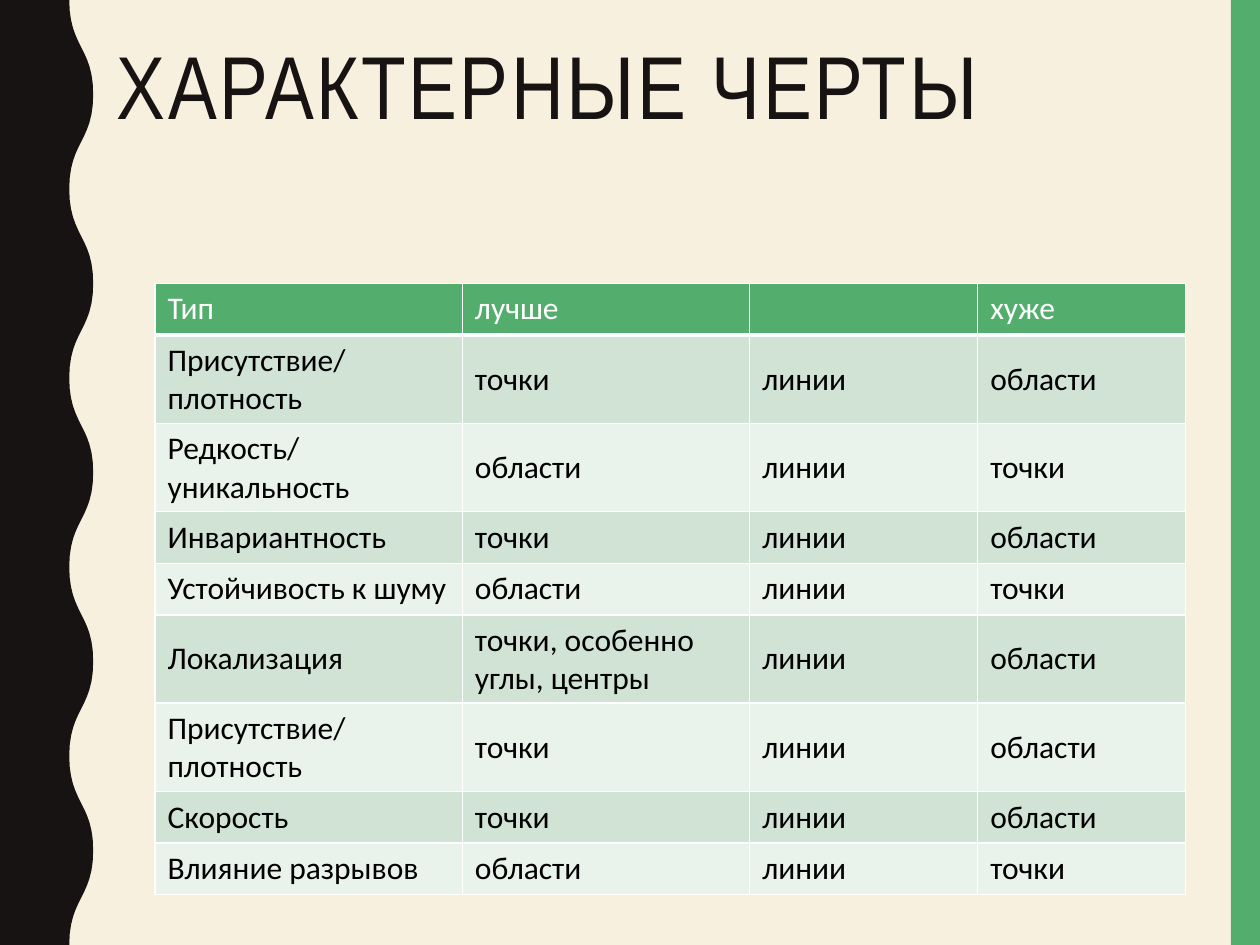
from lxml import etree
from pptx import Presentation
from pptx.dml.color import RGBColor
from pptx.enum.shapes import MSO_SHAPE
from pptx.enum.text import MSO_ANCHOR
from pptx.oxml.ns import qn
from pptx.util import Inches, Pt

RECT = MSO_SHAPE.RECTANGLE
TOP, MIDDLE = MSO_ANCHOR.TOP, MSO_ANCHOR.MIDDLE

CREAM, GREEN, DARK = "F7F0DF", "53AE6E", "171312"
WHITE, BLACK = "FFFFFF", "000000"
BANDS = ("D1E3D5", "E9F2EB")

BETTER_POINTS = ("точки", "линии", "области")
BETTER_AREAS = ("области", "линии", "точки")
ROWS = [
    ("Тип", "лучше", "", "хуже"),
    ("Присутствие/плотность", *BETTER_POINTS),
    ("Редкость/уникальность", *BETTER_AREAS),
    ("Инвариантность", *BETTER_POINTS),
    ("Устойчивость к шуму", *BETTER_AREAS),
    ("Локализация", "точки, особенно углы, центры", "линии", "области"),
    ("Присутствие/плотность", *BETTER_POINTS),
    ("Скорость", *BETTER_POINTS),
    ("Влияние разрывов", *BETTER_AREAS),
]
WIDTHS = (2.44, 2.28, 1.81, 1.65)


def color(code):
    return RGBColor.from_string(code)


def wave(low, high, step, count, parts=12):
    """Points of a smooth edge that swings between low and high down the slide."""
    points = [(low, 0)]
    for half in range(count):
        for i in range(1, parts + 1):
            t = i / parts
            swing = 3 * t**2 - 2 * t**3
            if half % 2:
                swing = 1 - swing
            drop = 1.5 * t * (1 - t) + t**3
            points.append((low + (high - low) * swing, step * (half + drop)))
    return points


class Deck:
    """Style of the deck and the slide being filled."""

    head_font, body_font = "Arial Narrow", "Calibri"
    head_size, body_size = 51, 18

    def __init__(self, width, height):
        self.prs = Presentation()
        self.prs.slide_width = Inches(width)
        self.prs.slide_height = Inches(height)
        self.slide = self.prs.slides.add_slide(self.prs.slide_layouts[6])
        fill = self.slide.background.fill
        fill.solid()
        fill.fore_color.rgb = color(CREAM)

    def paint(self, shape, code):
        shape.shadow.inherit = False
        shape.fill.solid()
        shape.fill.fore_color.rgb = color(code)
        shape.line.fill.background()

    def rect(self, left, top, width, height, code):
        box = map(Inches, (left, top, width, height))
        self.paint(self.slide.shapes.add_shape(RECT, *box), code)

    def outline(self, points, code):
        spots = [(Inches(x), Inches(y)) for x, y in points]
        pen = self.slide.shapes.build_freeform(*spots[0])
        pen.add_line_segments(spots[1:], close=True)
        self.paint(pen.convert_to_shape(), code)

    def style(self, run, font, size, code):
        run.font.name = font
        run.font.size = Pt(size)
        run.font.bold = False
        run.font.color.rgb = color(code)

    def title(self, left, top, width, height, text):
        box = map(Inches, (left, top, width, height))
        frame = self.slide.shapes.add_textbox(*box).text_frame
        frame.word_wrap = True
        frame.vertical_anchor = TOP
        frame.text = text
        para = frame.paragraphs[0]
        para.line_spacing = 0.9
        run = para.runs[0]
        self.style(run, self.head_font, self.head_size, DARK)
        run.font._element.set("spc", "150")

    def border(self, cell, side, width):
        props = cell._tc.get_or_add_tcPr()
        line = etree.SubElement(props, qn(f"a:ln{side}"), w=str(Pt(width)))
        fill = etree.SubElement(line, qn("a:solidFill"))
        etree.SubElement(fill, qn("a:srgbClr"), val=WHITE)

    def cell(self, cell, text, row):
        head = row == 0
        for side in "LRTB":
            self.border(cell, side, 3 if head and side == "B" else 1)
        cell.fill.solid()
        cell.fill.fore_color.rgb = color(GREEN if head else BANDS[(row - 1) % 2])
        cell.vertical_anchor = TOP if head else MIDDLE
        cell.text_frame.text = text
        for run in cell.text_frame.paragraphs[0].runs:
            self.style(run, self.body_font, self.body_size, WHITE if head else BLACK)

    def table(self, left, top, widths, high, rows):
        box = map(Inches, (left, top, sum(widths), high * len(rows)))
        grid = self.slide.shapes.add_table(len(rows), len(widths), *box).table
        for column, width in zip(grid.columns, widths):
            column.width = Inches(width)
        for r, row in enumerate(rows):
            grid.rows[r].height = Inches(high)
            for c, text in enumerate(row):
                self.cell(grid.cell(r, c), text, r)


def main():
    deck = Deck(10, 7.5)
    deck.rect(9.77, 0, 0.23, 7.5, GREEN)
    deck.outline([(0, 0), *wave(0.55, 0.74, 0.75, 10), (0, 7.5)], DARK)
    deck.title(0.83, 0.29, 9, 1.25, "ХАРАКТЕРНЫЕ ЧЕРТЫ")
    deck.table(1.23, 2.25, WIDTHS, 0.41, ROWS)
    deck.prs.save("out.pptx")


if __name__ == "__main__":
    main()
